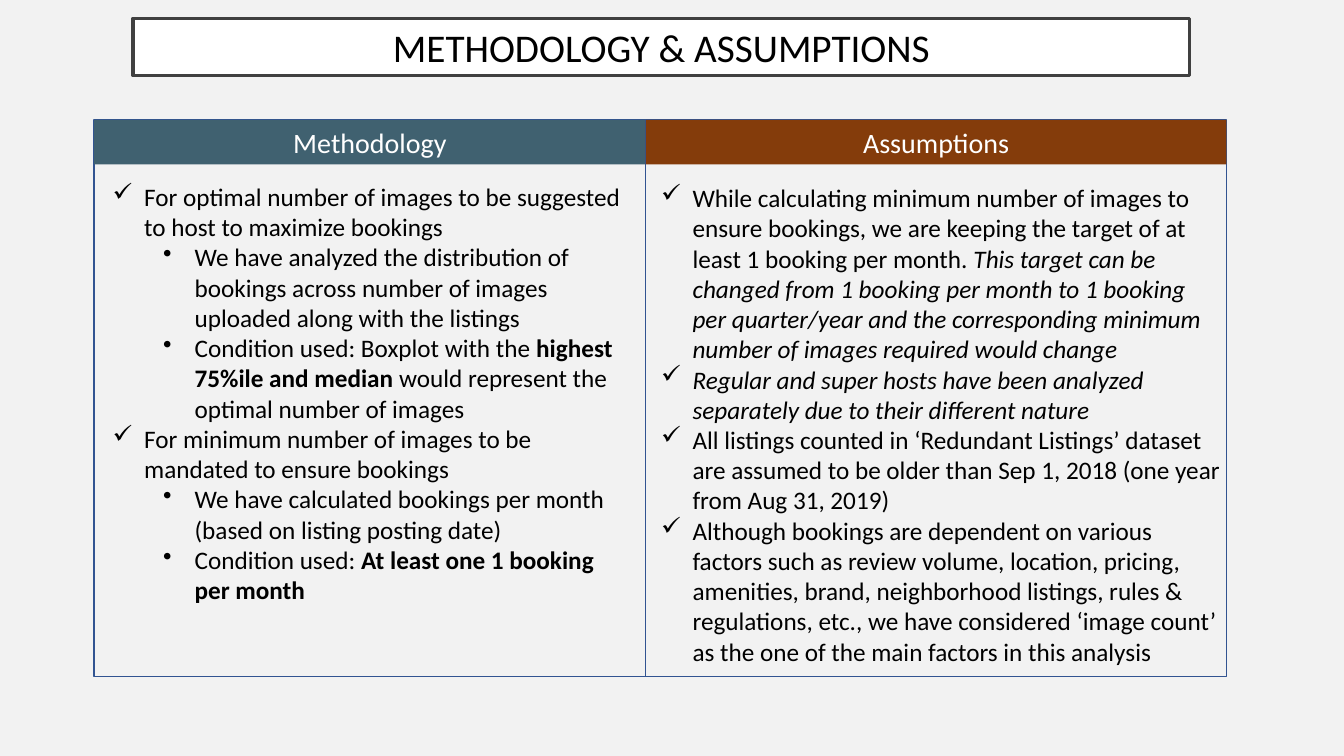
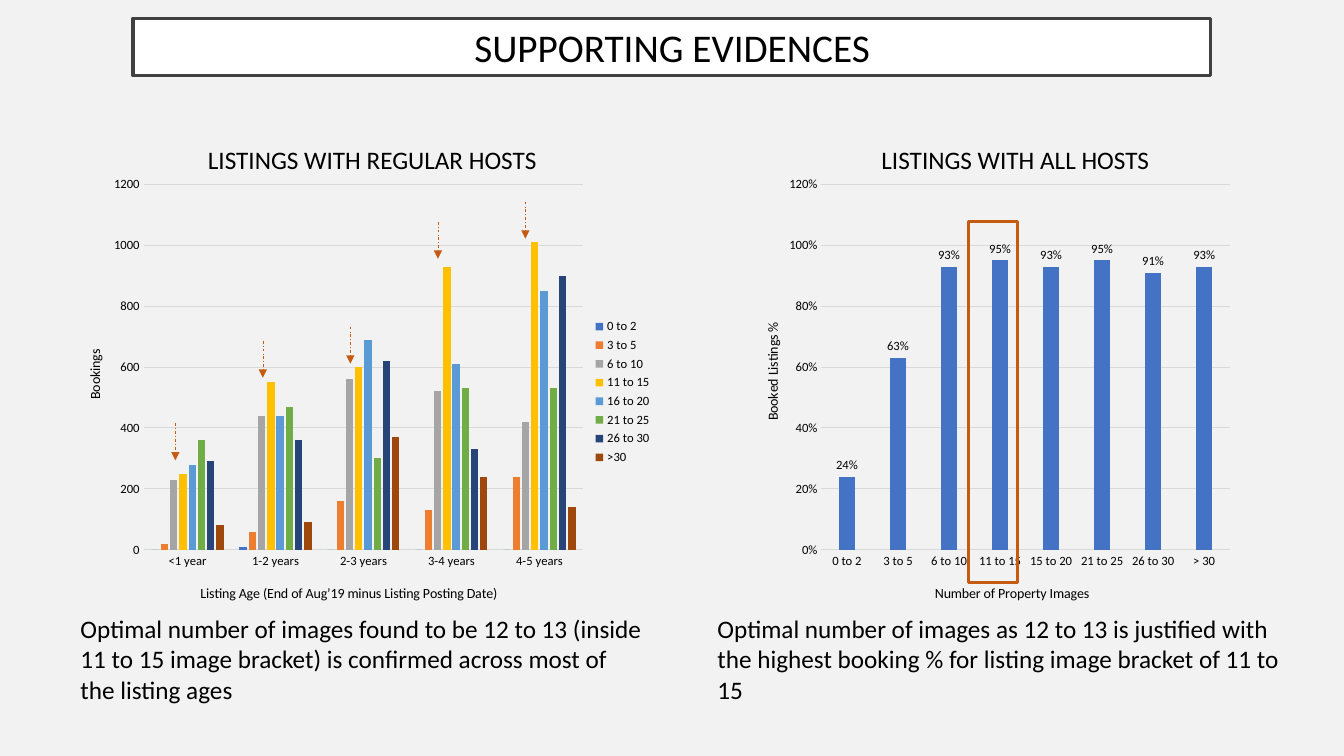
import pptx
import pptx.chart.data
import pptx.dml.color
import pptx.enum.chart
import pptx.enum.dml
import pptx.enum.shapes
import pptx.enum.text
import pptx.oxml
import pptx.oxml.ns
import pptx.util
from dataclasses import dataclass


@dataclass(frozen=True)
class Theme:
    font: str = "Calibri"
    ink: str = "000000"
    paper: str = "FFFFFF"
    backdrop: str = "F2F2F2"
    title_edge: str = "404040"
    panel_edge: str = "325491"
    teal: str = "406170"
    rust: str = "843C0B"
    accent: str = "C55A11"
    grid: str = "D9D9D9"
    series: tuple = ("4472C4", "ED7D31", "A5A5A5", "FFC000",
                     "5B9BD5", "70AD47", "264478", "9E480E")
    title_size: int = 28
    header_size: int = 20
    body_size: int = 18
    axis_title_size: int = 10
    label_size: int = 9
    heavy: float = 2.25
    thin: float = 1
    hairline: float = 0.5
    grid_width: float = 0.75
    hanging: float = 22.5
    level_step: float = 36


THEME = Theme()
COLUMNS = ROWS = 100
TITLE_BAND = (9.9, 2.4)
TITLE_HEIGHT = 7.6
BOLD = {"bold": True}
ITALIC = {"italic": True}


def apply(target, formats):
    for name, value in formats.items():
        setattr(target, name, value)


def rgb(colour):
    return pptx.dml.color.RGBColor.from_string(colour)


def element(parent, tag, index=None, **attributes):
    child = parent.makeelement(pptx.oxml.ns.qn(tag), attributes)
    parent.insert(len(parent) if index is None else index, child)
    return child


def place(parent, index, shares, inner=False):
    old = parent.find(pptx.oxml.ns.qn("c:layout"))
    if old is not None:
        parent.remove(old)
    manual = element(element(parent, "c:layout", index), "c:manualLayout")
    if inner:
        element(manual, "c:layoutTarget", val="inner")
    for axis in "xy":
        element(manual, f"c:{axis}Mode", val="edge")
    for axis, share in zip("xywh", shares):
        element(manual, f"c:{axis}", val=str(share))


class Deck:
    """Hold the theme and the current slide, and draw elements on a 100 by 100 grid."""

    def __init__(self, theme):
        self.theme = theme
        self.deck = pptx.Presentation()
        apply(self.deck, {"slide_width": pptx.util.Inches(13.33),
                          "slide_height": pptx.util.Inches(7.5)})

    def grid(self, column, row, *span):
        cell = (self.deck.slide_width / COLUMNS, self.deck.slide_height / ROWS) * 2
        return [round(count * unit) for count, unit in zip((column, row, *span), cell)]

    def font(self, font, size, colour=None, **formats):
        apply(font, {"name": self.theme.font, "size": pptx.util.Pt(size), **formats})
        font.color.rgb = rgb(colour or self.theme.ink)

    def stroke(self, line, colour, width):
        line.color.rgb = rgb(colour)
        line.width = pptx.util.Pt(width)

    def slide(self, title, title_width):
        self.current = self.deck.slides.add_slide(self.deck.slide_layouts[6])
        fill = self.current.background.fill
        fill.solid()
        fill.fore_color.rgb = rgb(self.theme.backdrop)
        self.box((*TITLE_BAND, title_width, TITLE_HEIGHT), self.theme.paper,
                 (self.theme.title_edge, self.theme.heavy), title, self.theme.title_size)

    def box(self, cells, fill=None, edge=None, label="", size=0, colour=None):
        box = self.current.shapes.add_shape(
            pptx.enum.shapes.MSO_SHAPE.RECTANGLE, *self.grid(*cells))
        box.shadow.inherit = False
        if fill:
            box.fill.solid()
            box.fill.fore_color.rgb = rgb(fill)
        else:
            box.fill.background()
        if edge:
            self.stroke(box.line, *edge)
        else:
            box.line.fill.background()
        if label:
            apply(box.text_frame, {"word_wrap": True, "margin_top": 0, "margin_bottom": 0,
                                   "vertical_anchor": pptx.enum.text.MSO_ANCHOR.MIDDLE})
            paragraph = box.text_frame.paragraphs[0]
            paragraph.alignment = pptx.enum.text.PP_ALIGN.CENTER
            paragraph.text = label
            self.font(paragraph.runs[0].font, size, colour)

    def text(self, cells, items, bullets=""):
        frame = self.current.shapes.add_textbox(*self.grid(*cells)).text_frame
        frame.word_wrap = True
        for number, (level, *runs) in enumerate(items):
            paragraph = frame.add_paragraph() if number else frame.paragraphs[0]
            for words, formats in runs:
                run = paragraph.add_run()
                run.text = words
                self.font(run.font, self.theme.body_size, **formats)
            if bullets:
                self.bullet(paragraph, level, bullets[level])

    def bullet(self, paragraph, level, mark):
        paragraph.level = level
        hanging = pptx.util.Pt(self.theme.hanging)
        properties = paragraph._p.get_or_add_pPr()
        properties.set("marL", str(hanging + level * pptx.util.Pt(self.theme.level_step)))
        properties.set("indent", str(-hanging))
        element(properties, "a:buChar", char=mark)

    def panel(self, column, width, heading, fill):
        self.box((column, 15.87, width, 73.6), edge=(self.theme.panel_edge, self.theme.thin))
        self.box((column, 15.87, width, 5.87), fill, None, heading,
                 self.theme.header_size, self.theme.paper)

    def arrow(self, column, row, length):
        start, end = self.grid(column, row), self.grid(column, row + length)
        arrow = self.current.shapes.add_connector(
            pptx.enum.shapes.MSO_CONNECTOR.STRAIGHT, *start, *end)
        self.stroke(arrow.line, self.theme.accent, self.theme.hairline)
        arrow.line.dash_style = pptx.enum.dml.MSO_LINE.DASH_DOT
        properties = arrow._element.spPr
        element(properties.find(pptx.oxml.ns.qn("a:ln")), "a:tailEnd", type="triangle")
        element(properties, "a:effectLst")

    def axis(self, axis, title, position, formats):
        apply(axis, {"major_tick_mark": pptx.enum.chart.XL_TICK_MARK.NONE, **formats})
        self.font(axis.tick_labels.font, self.theme.label_size)
        axis.axis_title.text_frame.text = title
        run = axis.axis_title.text_frame.paragraphs[0].runs[0]
        self.font(run.font, self.theme.axis_title_size, bold=False)
        place(axis.axis_title._element, 1, position)

    def chart(self, cells, categories, series, plot, across, up, top, step, percent=False):
        data = pptx.chart.data.CategoryChartData()
        data.categories = categories
        for name, values in series.items():
            data.add_series(name, values)
        chart = self.current.shapes.add_chart(
            pptx.enum.chart.XL_CHART_TYPE.COLUMN_CLUSTERED, *self.grid(*cells), data).chart
        apply(chart, {"has_title": False, "has_legend": len(series) > 1})
        self.font(chart.font, self.theme.axis_title_size)
        columns = chart.plots[0]
        apply(columns, {"gap_width": 219, "overlap": -27, "vary_by_categories": False})
        for bars, colour in zip(columns.series, self.theme.series):
            bars.format.fill.solid()
            bars.format.fill.fore_color.rgb = rgb(colour)
        self.axis(chart.category_axis, *across, {})
        self.stroke(chart.category_axis.format.line, self.theme.grid, self.theme.grid_width)
        scale = chart.value_axis
        self.axis(scale, *up, {"minimum_scale": 0, "maximum_scale": top, "major_unit": step})
        scale.format.line.fill.background()
        scale.axis_title.text_frame._element.bodyPr.set("rot", "-5400000")
        self.stroke(scale.major_gridlines.format.line, self.theme.grid, self.theme.grid_width)
        place(chart._chartSpace.chart.plotArea, 0, plot, inner=True)
        if chart.has_legend:
            apply(chart.legend, {"position": pptx.enum.chart.XL_LEGEND_POSITION.RIGHT,
                                 "include_in_layout": False})
            self.font(chart.legend.font, self.theme.label_size)
        if percent:
            columns.has_data_labels = True
            shown = {"number_format": "0%", "number_format_is_linked": False}
            apply(scale.tick_labels, shown)
            apply(columns.data_labels, {
                **shown, "show_value": True,
                "position": pptx.enum.chart.XL_LABEL_POSITION.OUTSIDE_END})
            self.font(columns.data_labels.font, self.theme.label_size)


METHODOLOGY = [
    (0, ("For optimal number of images to be suggested to host to maximize bookings", {})),
    (1, ("We have analyzed the distribution of bookings across number of images uploaded "
         "along with the listings", {})),
    (1, ("Condition used: Boxplot with the ", {}), ("highest 75%ile and median ", BOLD),
     ("would represent the optimal number of images", {})),
    (0, ("For minimum number of images to be mandated to ensure bookings", {})),
    (1, ("We have calculated bookings per month (based on listing posting date)", {})),
    (1, ("Condition used: ", {}), ("At least one 1 booking per month", BOLD)),
]
ASSUMPTIONS = [
    (0, ("While calculating minimum number of images to ensure bookings, we are keeping "
         "the target of at least 1 booking per month. ", {}),
     ("This target can be changed from 1 booking per month to 1 booking per quarter/year "
      "and the corresponding minimum number of images required would change", ITALIC)),
    (0, ("Regular and super hosts have been analyzed separately due to their different "
         "nature", ITALIC)),
    (0, ("All listings counted in ‘Redundant Listings’ dataset are assumed to be older than "
         "Sep 1, 2018 (one year from Aug 31, 2019)", {})),
    (0, ("Although bookings are dependent on various factors such as review volume, location, "
         "pricing, amenities, brand, neighborhood listings, rules & regulations, etc., we have "
         "considered ‘image count’ as the one of the main factors in this analysis", {})),
]
LISTING_AGES = ["<1 year", "1-2 years", "2-3 years", "3-4 years", "4-5 years"]
BOOKINGS = {
    "0 to 2": (0, 10, 0, 0, 0),
    "3 to 5": (20, 60, 160, 130, 240),
    "6 to 10": (230, 440, 560, 520, 420),
    "11 to 15": (250, 550, 600, 930, 1010),
    "16 to 20": (280, 440, 690, 610, 850),
    "21 to 25": (360, 470, 300, 530, 530),
    "26 to 30": (290, 360, 620, 330, 900),
    ">30": (80, 90, 370, 240, 140),
}
IMAGE_BRACKETS = ["0 to 2", "3 to 5", "6 to 10", "11 to 15",
                  "15 to 20", "21 to 25", "26 to 30", "> 30"]
BOOKED_SHARE = {"Series 1": (0.24, 0.63, 0.93, 0.95, 0.93, 0.95, 0.91, 0.93)}
FINDINGS = [
    (13.65, "LISTINGS WITH REGULAR HOSTS", 5.25,
     "Optimal number of images found to be 12 to 13 (inside 11 to 15 image bracket) is "
     "confirmed across most of the listing ages"),
    (61.5, "LISTINGS WITH ALL HOSTS", 52.65,
     "Optimal number of images as 12 to 13 is justified with the highest booking % for "
     "listing image bracket of 11 to 15"),
]
ARROW_ROWS = (56, 45.07, 43.2, 29.33, 26.67)


def methodology(deck):
    deck.slide("METHODOLOGY & ASSUMPTIONS", 78.6)
    deck.panel(7, 41.05, "Methodology", THEME.teal)
    deck.panel(48.05, 43.2, "Assumptions", THEME.rust)
    deck.text((7.65, 23.33, 39.7, 57.9), METHODOLOGY, "✓•")
    deck.text((48.45, 23.47, 43.25, 66), ASSUMPTIONS, "✓•")


def evidence(deck):
    deck.slide("SUPPORTING EVIDENCES", 80.2)
    deck.chart((4.4, 22, 44.85, 59.7), LISTING_AGES, BOOKINGS, (0.14, 0.04, 0.73, 0.81),
               ("Listing Age (End of Aug’19 minus Listing Posting Date)", (0.23, 0.92)),
               ("Bookings", (0.04, 0.4)), 1200, 200)
    deck.chart((54.75, 22, 37.5, 59.7), IMAGE_BRACKETS, BOOKED_SHARE, (0.17, 0.04, 0.81, 0.81),
               ("Number of Property Images", (0.39, 0.92)),
               ("Booked Listings %", (0.05, 0.34)), 1.2, 0.2, percent=True)
    for heading_column, heading, finding_column, finding in FINDINGS:
        deck.box((heading_column, 18.4, 28.1, 5.3), THEME.backdrop, None,
                 heading, THEME.body_size)
        deck.text((finding_column, 80.5, 43.4, 13.5), [(0, (finding, {}))])
    for age, row in enumerate(ARROW_ROWS):
        deck.arrow(13.05 + 6.51 * age, row, 4.9)
    deck.box((72.08, 29.33, 3.6, 47.7), edge=(THEME.accent, THEME.heavy))


def main():
    deck = Deck(THEME)
    methodology(deck)
    evidence(deck)
    deck.deck.save("out.pptx")


if __name__ == "__main__":
    main()
